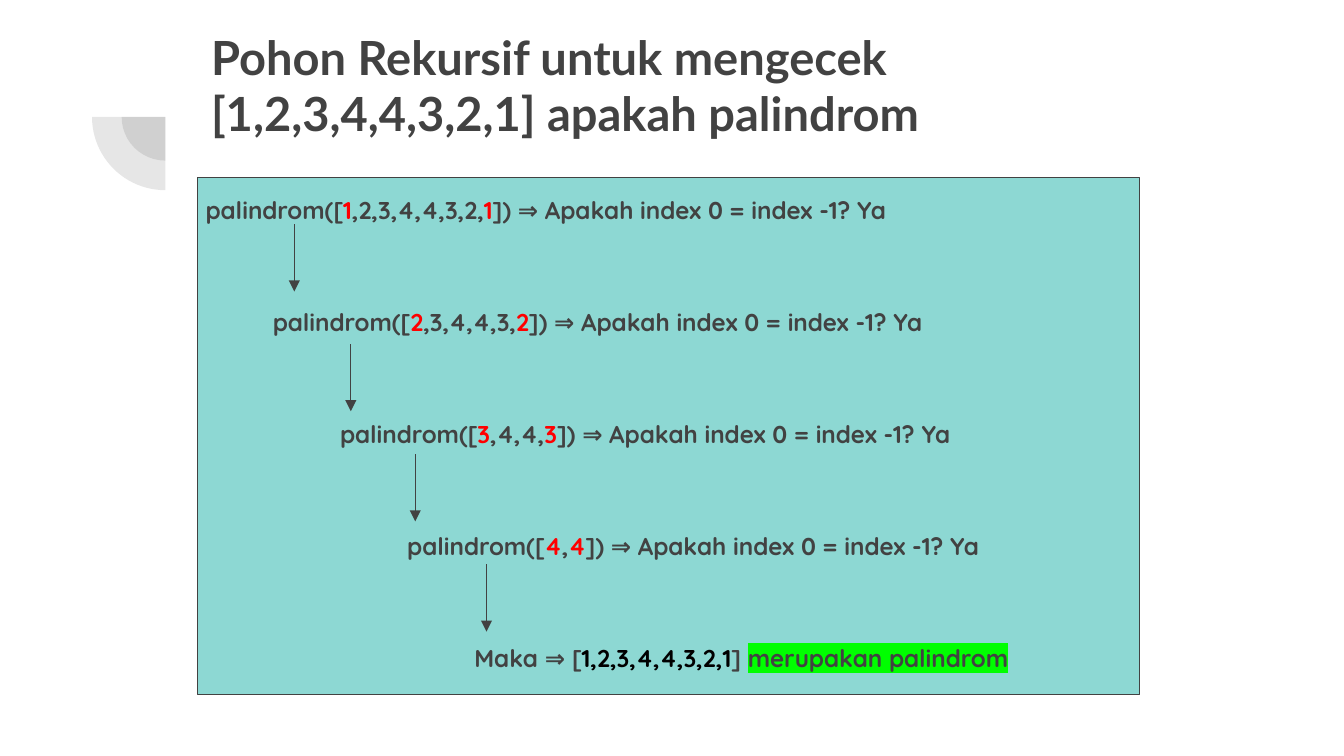
from lxml.etree import SubElement
from pptx import Presentation
from pptx.dml.color import RGBColor
from pptx.enum.shapes import MSO_CONNECTOR, MSO_SHAPE
from pptx.enum.text import MSO_ANCHOR, MSO_AUTO_SIZE, PP_ALIGN
from pptx.oxml.ns import qn
from pptx.util import Inches, Pt

DARK, RED, BLACK = "424242", "FF0000", "000000"
TEAL, GREEN = "8DD8D3", "00FF00"

HEADING = "Pohon Rekursif untuk mengecek [1,2,3,4,4,3,2,1] apakah palindrom"
CALLS = [("1", ",2,3,4,4,3,2,", "1"), ("2", ",3,4,4,3,", "2"),
         ("3", ",4,4,", "3"), ("4", ",", "4")]
QUESTION = "]) ⇒ Apakah index 0 = index -1? Ya"
CONCLUSION = [("Maka ⇒ [", DARK, None), ("1,2,3,4,4,3,2,1", BLACK, None),
              ("] ", DARK, None), ("merupakan palindrom", DARK, GREEN)]
ARROW_STARTS = [(2.19, 1.67), (2.61, 2.56), (3.09, 3.38), (3.62, 4.2)]
ARROW_LENGTH = 0.5
INDENT = 0.5
PIE_CENTER = (1.23, 0.87)
PIE_SIZES = [0.65, 1.09]


def rgb(color):
    return RGBColor.from_string(color)


def place(part, left, top, width, height):
    part.left, part.top = Inches(left), Inches(top)
    part.width, part.height = Inches(width), Inches(height)


def prepare(frame):
    frame.word_wrap = True
    frame.auto_size = MSO_AUTO_SIZE.NONE
    frame.vertical_anchor = MSO_ANCHOR.TOP
    frame.margin_left = frame.margin_right = Inches(0.1)
    frame.margin_top = frame.margin_bottom = Inches(0.1)


def style(paragraph, font_name, size):
    paragraph.alignment = PP_ALIGN.LEFT
    font = paragraph.font
    font.name, font.size, font.bold = font_name, Pt(size), True
    font.color.rgb = rgb(DARK)


def add_step(paragraph, pieces, level):
    paragraph.line_spacing = 1.15
    paragraph.space_before = Pt(42 if level else 0)
    properties = paragraph._p.get_or_add_pPr()
    properties.set("marL", str(Inches(INDENT * level)))
    properties.set("indent", "0")
    SubElement(properties, qn("a:buNone"))
    style(paragraph, "Quicksand", 13)
    for text, color, highlight in pieces:
        run = paragraph.add_run()
        run.text = text
        run.font.color.rgb = rgb(color)
        if highlight:
            mark = SubElement(run._r.get_or_add_rPr(), qn("a:highlight"))
            SubElement(mark, qn("a:srgbClr"), val=highlight)


def add_pie(shapes, size):
    x, y = PIE_CENTER
    pie = shapes.add_shape(MSO_SHAPE.PIE, Inches(x - size / 2), Inches(y - size / 2),
                           Inches(size), Inches(size))
    pie.adjustments[0], pie.adjustments[1] = 108, 162
    pie.rotation = 270
    pie.shadow.inherit = False
    pie.fill.solid()
    pie.fill.fore_color.rgb = rgb(DARK)
    tint = pie.fill._xPr.find(qn("a:solidFill"))[0]
    SubElement(tint, qn("a:alpha"), val="13000")
    pie.line.fill.background()


def add_arrow(shapes, x, y):
    arrow = shapes.add_connector(MSO_CONNECTOR.STRAIGHT, Inches(x), Inches(y),
                                 Inches(x), Inches(y + ARROW_LENGTH))
    arrow.line.color.rgb = rgb(DARK)
    arrow.line.width = Pt(0.75)
    SubElement(arrow.line._get_or_add_ln(), qn("a:tailEnd"), type="triangle")
    SubElement(arrow._element.spPr, qn("a:effectLst"))


def main():
    deck = Presentation()
    deck.slide_width = Inches(10)
    deck.slide_height = deck.slide_width * 9 // 16
    slide = deck.slides.add_slide(deck.slide_layouts[1])
    shapes = slide.shapes
    title, tree = shapes.title, slide.placeholders[1]

    for size in PIE_SIZES:
        add_pie(shapes, size)

    panel = shapes.add_shape(MSO_SHAPE.RECTANGLE, Inches(1.47), Inches(1.32),
                             Inches(7.01), Inches(3.85))
    panel.shadow.inherit = False
    panel.fill.solid()
    panel.fill.fore_color.rgb = rgb(TEAL)
    panel.line.color.rgb = rgb(DARK)
    panel.line.width = Pt(0.75)

    for placeholder in (tree, title):
        shapes._spTree.append(placeholder._element)
        prepare(placeholder.text_frame)

    place(title, 1.47, 0.11, 7.69, 1.09)
    title.text_frame.text = HEADING
    style(title.text_frame.paragraphs[0], "Lato", 25.2)

    place(tree, 1.43, 1.32, 6.56, 3.85)
    steps = [[("palindrom([", DARK, None), (first, RED, None), (middle, DARK, None),
              (last, RED, None), (QUESTION, DARK, None)] for first, middle, last in CALLS]
    frame = tree.text_frame
    for level, pieces in enumerate(steps + [CONCLUSION]):
        paragraph = frame.add_paragraph() if level else frame.paragraphs[0]
        add_step(paragraph, pieces, level)

    for x, y in ARROW_STARTS:
        add_arrow(shapes, x, y)

    deck.save("out.pptx")


if __name__ == "__main__":
    main()
